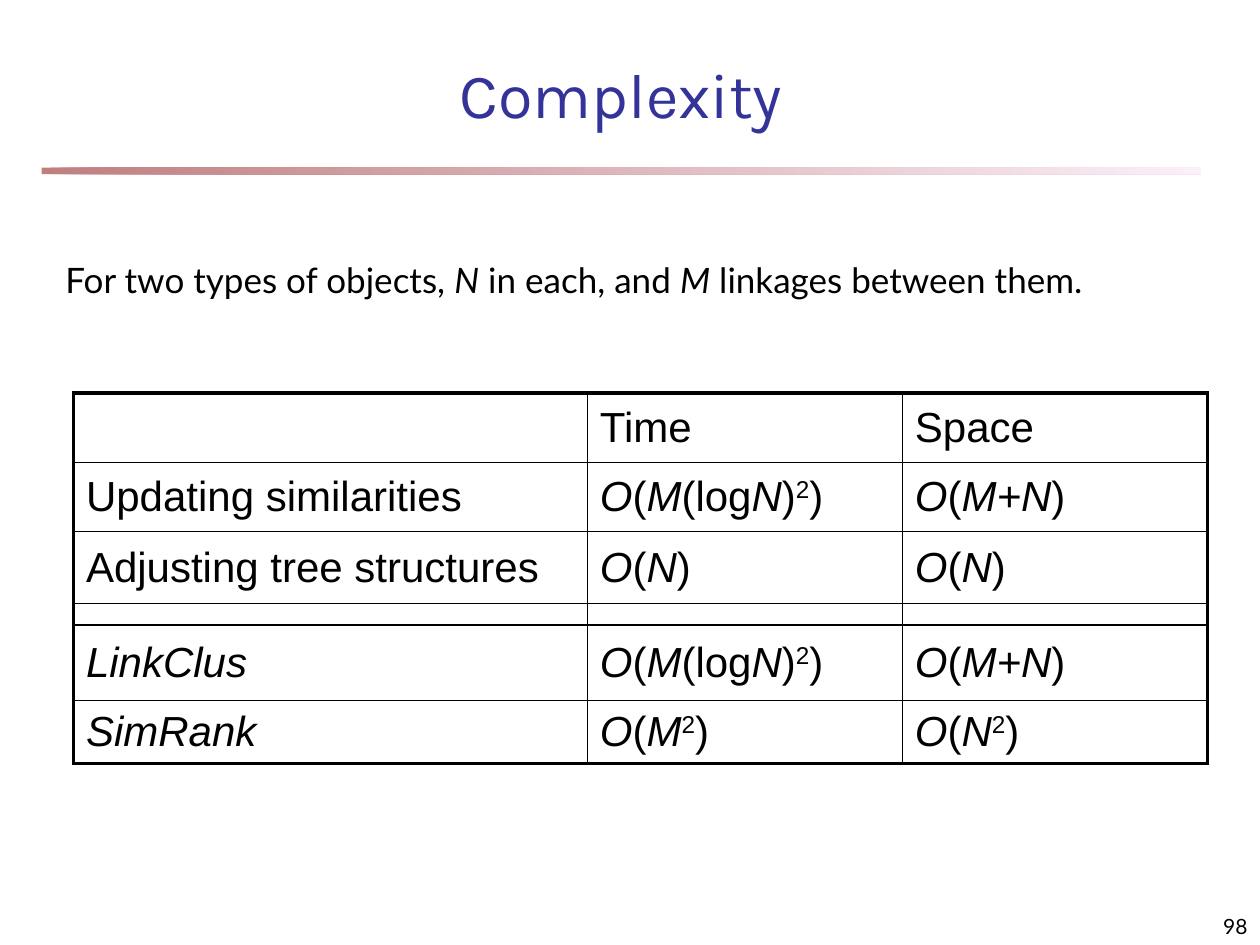
from pptx import Presentation
from pptx.dml.color import RGBColor
from pptx.enum.shapes import MSO_SHAPE
from pptx.enum.text import MSO_ANCHOR, MSO_AUTO_SIZE, PP_ALIGN
from pptx.oxml.ns import qn
from pptx.util import Cm, Pt
from lxml import etree

RECT = MSO_SHAPE.RECTANGLE
TOP, MID, LOW = MSO_ANCHOR.TOP, MSO_ANCHOR.MIDDLE, MSO_ANCHOR.BOTTOM
LEFT, CENTER, RIGHT = PP_ALIGN.LEFT, PP_ALIGN.CENTER, PP_ALIGN.RIGHT
FIXED = MSO_AUTO_SIZE.NONE

BLACK = RGBColor(0x00, 0x00, 0x00)
NAVY = RGBColor(0x33, 0x33, 0x99)
MAROON = RGBColor(0x80, 0x00, 0x00)
PINK = RGBColor(0xFA, 0xE2, 0xF6)

HEAD = {"name": "Karla", "size": Pt(36), "color": NAVY}
BODY = {"name": "Lato", "size": Pt(20), "color": BLACK}
CELL = {"name": "Arial", "size": Pt(24), "color": BLACK}
FOOT = {"name": "Lato", "size": Pt(12), "color": BLACK}

COLS = (10.36, 6.35, 6.15)
HIGHS = (1.4, 1.4, 1.45, 0.43, 1.52, 1.27)
COSTS = (
    ("", "Time", "Space"),
    ("Updating similarities", "*O*(*M*(log*N*)^2^)", "*O*(*M+N*)"),
    ("Adjusting tree structures", "*O*(*N*)", "*O*(*N*)"),
    ("", "", ""),
    ("*LinkClus*", "*O*(*M*(log*N*)^2^)", "*O*(*M+N*)"),
    ("*SimRank*", "*O*(*M*^2^)", "*O*(*N*^2^)"),
)


class Deck:
    """Hold the style and current slide, and draw each kind of element."""

    def __init__(self):
        self.file = Presentation()
        self.file.slide_width, self.file.slide_height = Cm(25.4), Cm(19.05)
        self.slide = self.file.slides.add_slide(self.file.slide_layouts[5])

    def words(self, frame, text, style, align=LEFT):
        para = frame.paragraphs[0]
        para.alignment = align
        for i, part in enumerate(text.split("*")):
            for j, word in enumerate(part.split("^")):
                if word:
                    run = para.add_run()
                    run.text = word
                    for key, value in style.items():
                        if key == "color":
                            run.font.color.rgb = value
                        else:
                            setattr(run.font, key, value)
                    run.font.italic = i % 2 == 1
                    if j % 2:
                        run.font._element.set("baseline", "30000")

    def place(self, shape, box, text, style, align, anchor):
        shape.left, shape.top, shape.width, shape.height = map(Cm, box)
        frame = shape.text_frame
        form = {"word_wrap": True, "auto_size": FIXED, "vertical_anchor": anchor}
        for key, value in form.items():
            setattr(frame, key, value)
        self.words(frame, text, style, align)

    def title(self, box, text):
        self.place(self.slide.shapes.title, box, text, HEAD, CENTER, LOW)

    def text(self, box, text, style, align=LEFT, anchor=TOP):
        shape = self.slide.shapes.add_textbox(*map(Cm, box))
        self.place(shape, box, text, style, align, anchor)

    def rule(self, box):
        bar = self.slide.shapes.add_shape(RECT, *map(Cm, box))
        bar.shadow.inherit = False
        bar.line.fill.background()
        bar.fill.gradient()
        bar.fill.gradient_angle = 0
        for stop, color in zip(bar.fill.gradient_stops, (MAROON, PINK)):
            stop.color.rgb = color
        for node in bar._element.spPr.iter(qn("a:srgbClr")):
            etree.SubElement(node, qn("a:alpha"), val="50000")

    def edge(self, cell, sides):
        props = cell._tc.get_or_add_tcPr()
        for spot, (side, bold) in enumerate(sides.items()):
            line = etree.Element(qn(f"a:ln{side}"), w=str(int(Pt(2.25 if bold else 1))))
            fill = etree.SubElement(line, qn("a:solidFill"))
            etree.SubElement(fill, qn("a:srgbClr"), val=str(BLACK))
            props.insert(spot, line)

    def table(self, left, top, rows):
        size = len(rows), len(COLS)
        spot = map(Cm, (left, top, sum(COLS), sum(HIGHS)))
        grid = self.slide.shapes.add_table(*size, *spot).table
        grid.first_row = grid.horz_banding = False
        for col, width in zip(grid.columns, COLS):
            col.width = Cm(width)
        for r, (row, high) in enumerate(zip(rows, HIGHS)):
            grid.rows[r].height = Cm(high)
            for c, text in enumerate(row):
                cell = grid.cell(r, c)
                cell.fill.background()
                cell.vertical_anchor = MID
                self.words(cell.text_frame, text, CELL)
                if not any(row):
                    cell.margin_top = cell.margin_bottom = 0
                    end = cell.text_frame.paragraphs[0]._p.get_or_add_endParaRPr()
                    end.set("sz", "400")
                self.edge(cell, {"L": c == 0, "R": c == size[1] - 1,
                                 "T": r == 0, "B": r == size[0] - 1})


def main():
    deck = Deck()
    deck.rule((0.84, 3.38, 23.37, 0.13))
    deck.title((1.7, 1.07, 21.64, 1.7), "Complexity")
    deck.table(1.48, 7.92, COSTS)
    deck.text((1.07, 5.08, 23.29, 1.1),
              "For two types of objects, *N* in each, and *M* linkages between them.", BODY)
    deck.text((20.12, 17.98, 5.28, 1.07), "98", FOOT, RIGHT, LOW)
    deck.file.save("out.pptx")


if __name__ == "__main__":
    main()
